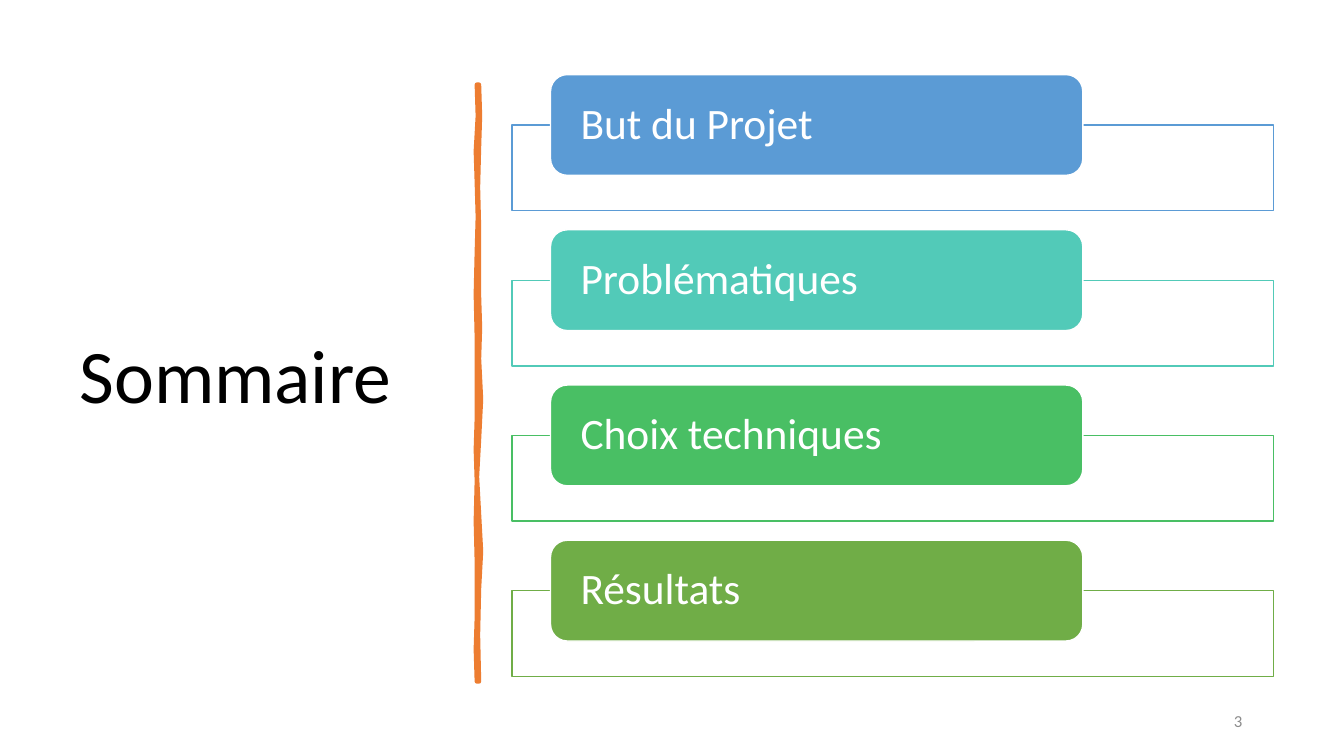
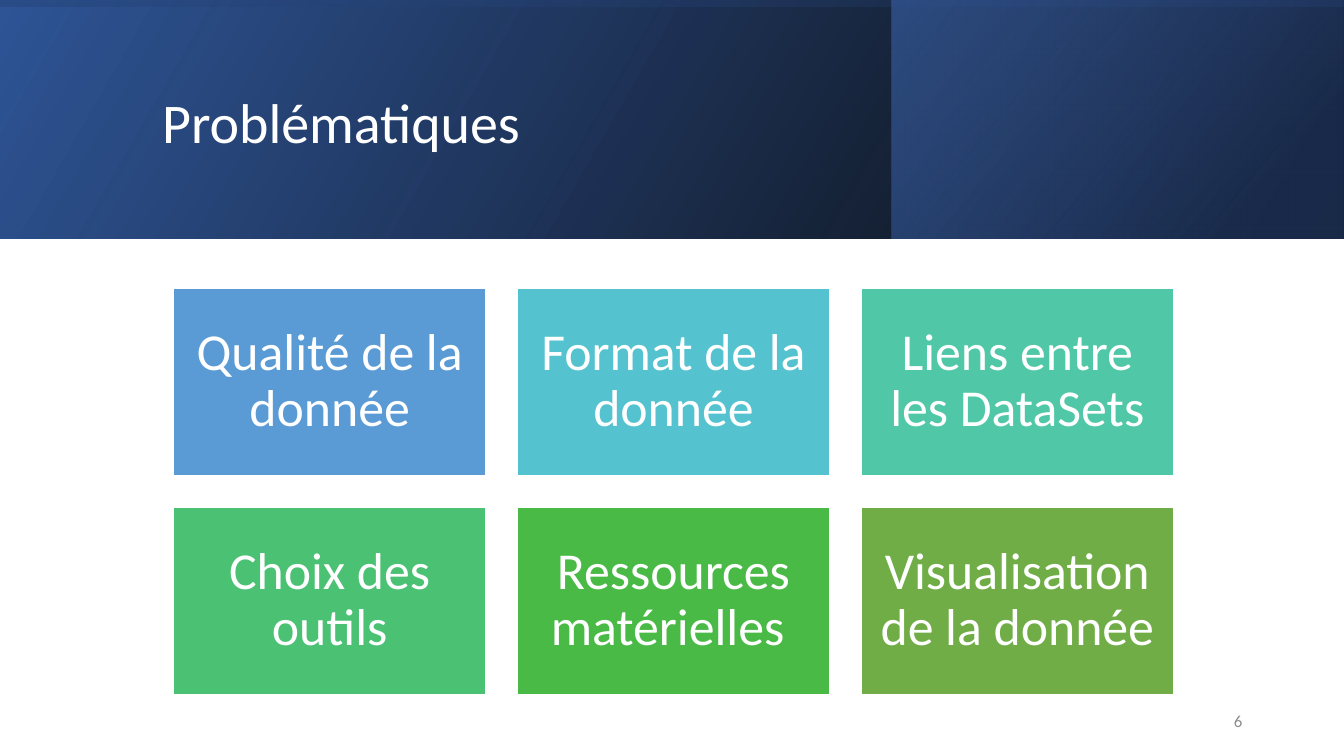
from typing import NamedTuple

from lxml import etree
from pptx import Presentation
from pptx import util as u
from pptx.dml.color import RGBColor
from pptx.enum import shapes, text
from pptx.oxml.ns import qn

PX = 9144  # EMU per px, 100 px to the inch
SLIDE_W, SLIDE_H = 1333, 750
FONT = "Calibri"
LEFT, CENTER, RIGHT = text.PP_ALIGN.LEFT, text.PP_ALIGN.CENTER, text.PP_ALIGN.RIGHT
RECT = shapes.MSO_SHAPE.RECTANGLE
ROUNDED = shapes.MSO_SHAPE.ROUNDED_RECTANGLE

COLORS = {
    "white": "FFFFFF", "black": "000000", "number": "8C8C8C", "orange": "ED7D31",
    "blue": "5B9BD5", "cyan": "55C3CF", "turquoise": "52CAB8", "sea": "50C8A7",
    "mint": "4BC174", "emerald": "49BF64", "green": "4ABA46", "olive": "70AD47",
    "royal": "2F5597", "navy": "203864", "azure": "4472C4",
}


class Box(NamedTuple):
    x: int
    y: int
    w: int
    h: int


class Style(NamedTuple):
    size: int
    color: str = "white"
    align: text.PP_ALIGN = LEFT
    inset: tuple[int, int] = (10, 5)  # horizontal, vertical
    spacing: float = 0.9


class Entry(NamedTuple):
    label: str
    color: str


class Stop(NamedTuple):
    position: int
    color: str
    opacity: int


class Band(NamedTuple):
    box: Box
    angle: int
    stops: tuple[Stop, Stop]
    rotation: int = 0


NUMBER = Style(12, "number", RIGHT, spacing=1.0)
AGENDA = Style(31, inset=(25, 5))
TILE = Style(37, align=CENTER, inset=(15, 15))

AGENDA_ENTRIES = [
    Entry("But du Projet", "blue"),
    Entry("Problématiques", "turquoise"),
    Entry("Choix techniques", "emerald"),
    Entry("Résultats", "olive"),
]
ISSUES = [
    Entry("Qualité de la donnée", "blue"),
    Entry("Format de la donnée", "cyan"),
    Entry("Liens entre les DataSets", "sea"),
    Entry("Choix des outils", "mint"),
    Entry("Ressources matérielles ", "green"),
    Entry("Visualisation de la donnée", "olive"),
]
HEADER_BANDS = [
    Band(Box(0, 0, SLIDE_W, 237), 330,
         (Stop(0, "black", 96), Stop(100, "royal", 100))),
    Band(Box(884, 0, 448, 237), 320,
         (Stop(19, "navy", 68), Stop(100, "azure", 48))),
    Band(Box(548, -548, 237, SLIDE_W), 350,
         (Stop(23, "royal", 16), Stop(99, "black", 45)), rotation=270),
]
# Hand-drawn rule: down the right edge, then up the left edge
RULE_OUTLINE = [
    (475, 84), (476, 115), (475, 146), (474, 186), (475, 226), (475, 294),
    (476, 325), (475, 356), (477, 396), (475, 436), (473, 473), (475, 510),
    (477, 547), (475, 584), (474, 630), (475, 676),
    (473, 676), (472, 644), (473, 613), (473, 557), (472, 517), (473, 477),
    (472, 446), (473, 415), (473, 335), (472, 292), (473, 250), (474, 215),
    (473, 181), (472, 150), (474, 115), (473, 84),
]


def rgb(name: str) -> RGBColor:
    return RGBColor.from_string(COLORS[name])


def emu(box: Box) -> list[u.Emu]:
    return [u.Emu(length * PX) for length in box]


def write(shape, words: str, style: Style) -> None:
    frame = shape.text_frame
    frame.word_wrap = True
    frame.vertical_anchor = text.MSO_ANCHOR.MIDDLE
    frame.margin_left = frame.margin_right = style.inset[0] * PX
    frame.margin_top = frame.margin_bottom = style.inset[1] * PX
    paragraph = frame.paragraphs[0]
    paragraph.text = words
    paragraph.alignment = style.align
    paragraph.line_spacing = style.spacing
    paragraph.font.name = FONT
    paragraph.font.size = u.Pt(style.size)
    paragraph.font.color.rgb = rgb(style.color)


def add_text(slide, box: Box, words: str, style: Style) -> None:
    write(slide.shapes.add_textbox(*emu(box)), words, style)


def paint(shape, fill: str, line: str, width: float = 1) -> None:
    shape.shadow.inherit = False
    shape.fill.solid()
    shape.fill.fore_color.rgb = rgb(fill)
    shape.line.color.rgb = rgb(line)
    shape.line.width = u.Pt(width)


def add_card(slide, kind: shapes.MSO_SHAPE, box: Box, fill: str, line: str = "white"):
    card = slide.shapes.add_shape(kind, *emu(box))
    paint(card, fill, line)
    return card


def add_rule(slide) -> None:
    start, *rest = RULE_OUTLINE
    builder = slide.shapes.build_freeform(*start, scale=PX)
    builder.add_line_segments(rest, close=True)
    rule = builder.convert_to_shape()
    paint(rule, "orange", "orange", 3.25)
    etree.SubElement(rule.element.spPr.find(qn("a:ln")), qn("a:round"))


def add_band(slide, band: Band) -> None:
    shape = slide.shapes.add_shape(RECT, *emu(band.box))
    shape.shadow.inherit = False
    shape.line.fill.background()
    shape.rotation = band.rotation
    shape.element.spPr.find(qn("a:xfrm")).set("flipH", "1")
    # Gradient with its own opacity at each stop
    shape.fill.gradient()
    gradient = shape.element.spPr.find(qn("a:gradFill"))
    gradient.find(qn("a:lin")).set("ang", str(band.angle * 60000))
    stops = gradient.find(qn("a:gsLst"))
    for old in list(stops):
        stops.remove(old)
    for stop in band.stops:
        node = etree.SubElement(stops, qn("a:gs"), pos=str(stop.position * 1000))
        color = etree.SubElement(node, qn("a:srgbClr"), val=COLORS[stop.color])
        if stop.opacity < 100:
            etree.SubElement(color, qn("a:alpha"), val=str(stop.opacity * 1000))


def new_slide(deck, number: str):
    slide = deck.slides.add_slide(deck.slide_layouts[6])
    add_text(slide, Box(942, 695, 300, 40), number, NUMBER)
    return slide


def build_agenda(deck) -> None:
    slide = new_slide(deck, "3")
    add_text(slide, Box(69, 70, 374, 611), "Sommaire", Style(54, "black"))
    add_rule(slide)
    for row, entry in enumerate(AGENDA_ENTRIES):
        top = 74 + row * 154
        add_card(slide, RECT, Box(508, top + 50, 755, 85), "white", entry.color)
        label = add_card(slide, ROUNDED, Box(546, top, 528, 100), entry.color)
        write(label, entry.label, AGENDA)


def build_issues(deck) -> None:
    slide = new_slide(deck, "6")
    for band in HEADER_BANDS:
        add_band(slide, band)
    add_text(slide, Box(151, 38, 1063, 172), "Problématiques", Style(40))
    # Grid of three columns
    for index, issue in enumerate(ISSUES):
        row, column = divmod(index, 3)
        box = Box(172 + column * 341, 286 + row * 217, 310, 186)
        write(add_card(slide, RECT, box, issue.color), issue.label, TILE)


def main() -> None:
    deck = Presentation()
    deck.slide_width, deck.slide_height = SLIDE_W * PX, SLIDE_H * PX
    build_agenda(deck)
    build_issues(deck)
    deck.save("out.pptx")


if __name__ == "__main__":
    main()
